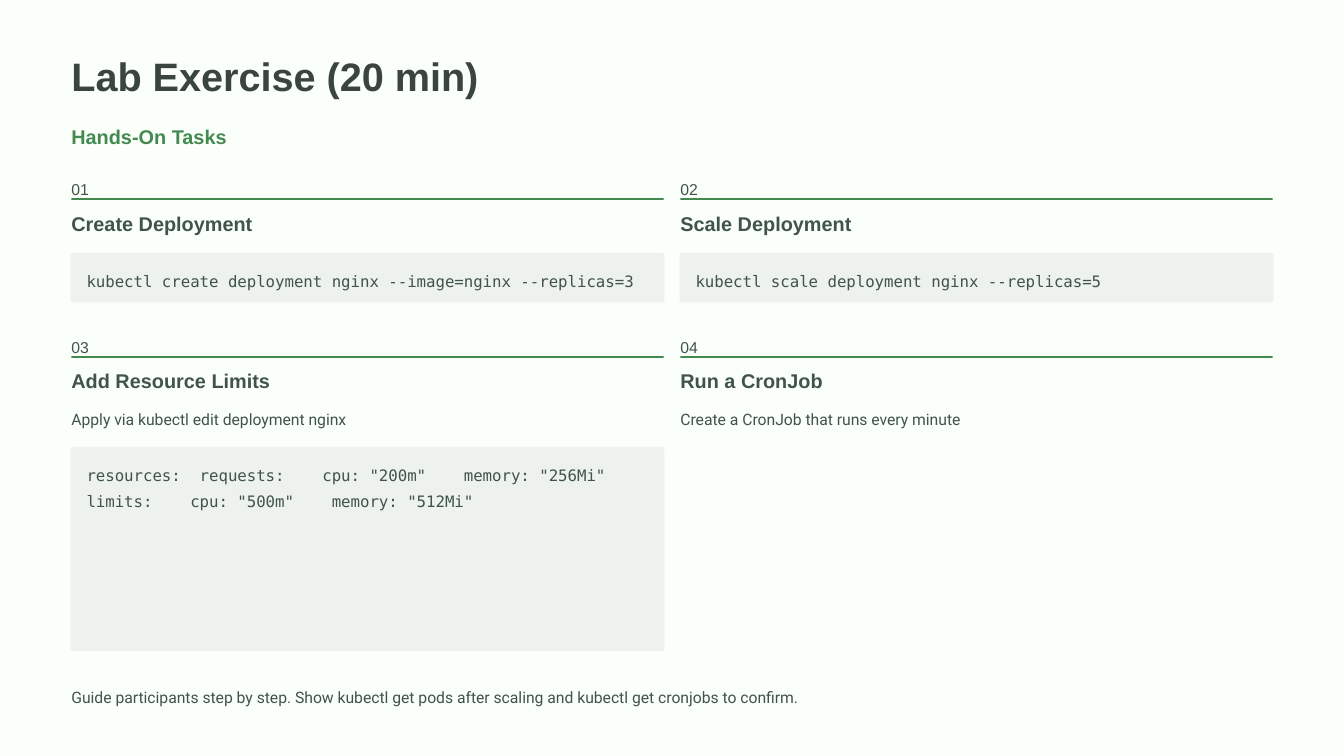
from dataclasses import dataclass

from pptx import Presentation
from pptx.dml.color import RGBColor
from pptx.enum.shapes import MSO_SHAPE as SHAPE
from pptx.enum.text import MSO_ANCHOR as ANCHOR, PP_ALIGN as ALIGN
from pptx.util import Inches, Pt


@dataclass(frozen=True)
class Style:
    font: str
    size: float
    color: str
    leading: float
    bold: bool = False


class Theme:
    page, green, panel = "FAFFFA", "438951", "EDF2ED"
    title = Style("Arial", 34, "3B4540", 43, True)
    subtitle = Style("Arial", 17, green, 21.5, True)
    heading = Style("Arial", 17, "405449", 21.5, True)
    number = Style("Arial", 13.5, "405449", 22)
    body = Style("Roboto", 13.5, "405449", 22)
    code = Style("DejaVu Sans Mono", 13.5, "405449", 22)


LEFT, WIDTH = 0.85, 14.3
GAP = 0.2
CARD_W = (WIDTH - GAP) / 2

# Row top, code panel offset and height, then the tasks: heading, note, code
ROWS = [
    (2.06, 0.95, 0.59, [
        ("Create Deployment", None,
         "kubectl create deployment nginx --image=nginx --replicas=3"),
        ("Scale Deployment", None,
         "kubectl scale deployment nginx --replicas=5"),
    ]),
    (3.94, 1.38, 2.43, [
        ("Add Resource Limits", "Apply via kubectl edit deployment nginx",
         'resources:  requests:    cpu: "200m"    memory: "256Mi"'
         '  limits:    cpu: "500m"    memory: "512Mi"'),
        ("Run a CronJob", "Create a CronJob that runs every minute", None),
    ]),
]


def write(shape, text, style, wrap=False):
    tf = shape.text_frame
    tf.margin_left = tf.margin_right = tf.margin_top = tf.margin_bottom = 0
    tf.word_wrap = wrap
    tf.vertical_anchor = ANCHOR.TOP
    tf.text = text
    p = tf.paragraphs[0]
    p.alignment = ALIGN.LEFT
    p.line_spacing = Pt(style.leading)
    p.space_before = Pt(0)
    font = p.runs[0].font
    font.name, font.size, font.bold = style.font, Pt(style.size), style.bold
    font.color.rgb = RGBColor.from_string(style.color)


def add_text(s, x, y, w, h, text, style, wrap=False):
    box = s.shapes.add_textbox(Inches(x), Inches(y), Inches(w), Inches(h))
    write(box, text, style, wrap)


def add_block(s, kind, x, y, w, h, color):
    block = s.shapes.add_shape(kind, Inches(x), Inches(y), Inches(w), Inches(h))
    block.shadow.inherit = False
    block.fill.solid()
    block.fill.fore_color.rgb = RGBColor.from_string(color)
    block.line.fill.background()
    return block


def add_header(s, x, y, w):
    title = s.shapes.title
    title.left, title.top = Inches(x), Inches(y)
    title.width, title.height = Inches(w), Inches(0.6)
    write(title, "Lab Exercise (20 min)", Theme.title)
    add_text(s, x, y + 0.88, w, 0.3, "Hands-On Tasks", Theme.subtitle)


def add_code(s, x, y, w, h, code):
    panel = add_block(s, SHAPE.ROUNDED_RECTANGLE, x - 0.01, y, w + 0.02, h,
                      Theme.panel)
    panel.adjustments[0] = 0.03 / h
    add_text(s, x + 0.18, y + 0.15, w - 0.36, h - 0.29, code, Theme.code, True)


def add_task(s, x, y, w, number, task, code_y, code_h):
    heading, note, code = task
    add_text(s, x, y, 0.4, 0.24, f"{number:02}", Theme.number)
    add_block(s, SHAPE.RECTANGLE, x, y + 0.3, w, 0.02, Theme.green)
    add_text(s, x, y + 0.44, w, 0.3, heading, Theme.heading)
    if note:
        add_text(s, x, y + 0.86, w, 0.31, note, Theme.body)
    if code:
        add_code(s, x, y + code_y, w, code_h, code)


def main():
    prs = Presentation()
    prs.slide_width, prs.slide_height = Inches(16), Inches(9)
    s = prs.slides.add_slide(prs.slide_layouts[5])
    s.background.fill.solid()
    s.background.fill.fore_color.rgb = RGBColor.from_string(Theme.page)

    # Title and subtitle
    add_header(s, LEFT, 0.59, WIDTH)

    # Two by two grid of tasks
    number = 0
    for y, code_y, code_h, tasks in ROWS:
        for col, task in enumerate(tasks):
            number += 1
            x = LEFT + col * (CARD_W + GAP)
            add_task(s, x, y, CARD_W, number, task, code_y, code_h)

    # Closing note
    add_text(s, LEFT, 8.11, WIDTH, 0.31,
             "Guide participants step by step. Show kubectl get pods after "
             "scaling and kubectl get cronjobs to confirm.", Theme.body)

    prs.save("out.pptx")


if __name__ == "__main__":
    main()
